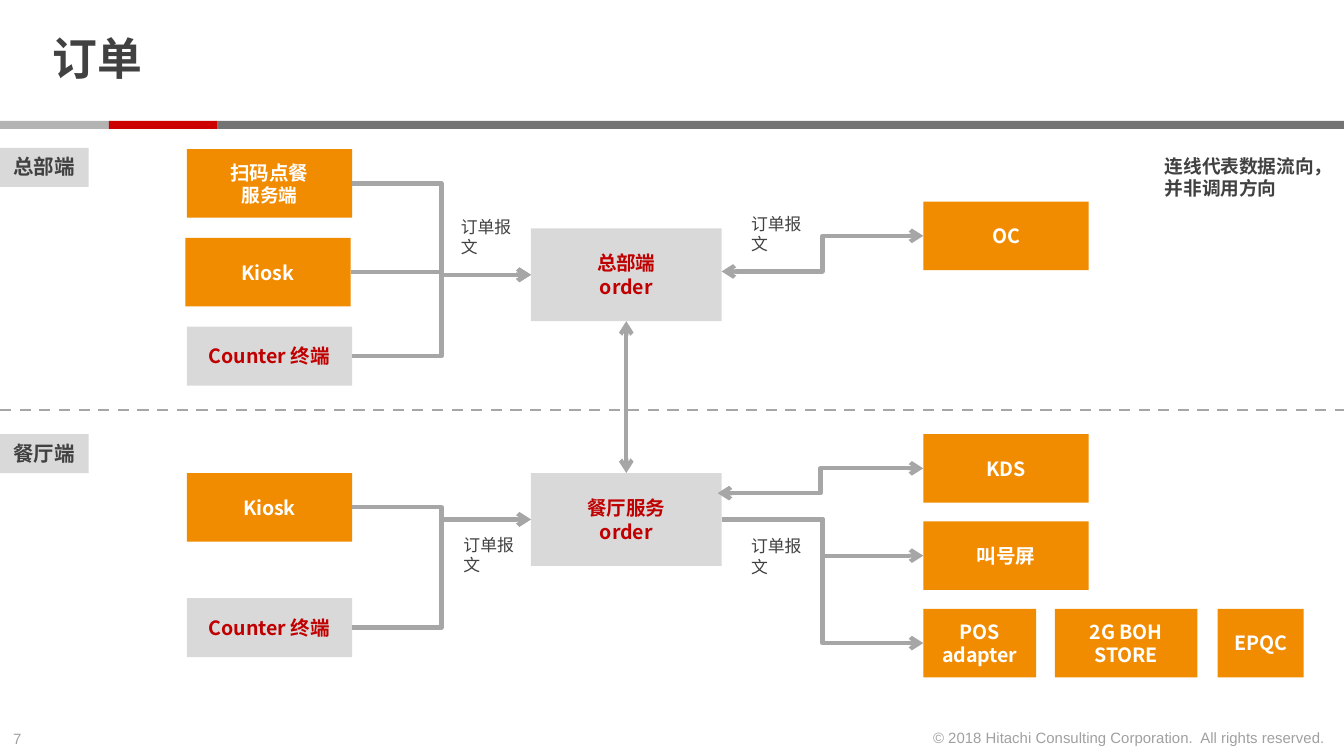
from lxml import etree
from pptx import Presentation
from pptx.dml.color import RGBColor
from pptx.enum import dml, shapes, text
from pptx.oxml.ns import qn
from pptx.util import Inches, Pt

ORANGE, PALE, RED, INK, LINE = "F18B00", "D9D9D9", "C00000", "414141", "A6A6A6"
CJK = "Noto Sans CJK SC"
TOP, LEFT, BOTTOM, RIGHT = range(4)
BOX_W, BOX_H, COUNTER_H = 1.23, 0.51, 0.44
SOURCE_X, ORDER_X, TARGET_X = 1.39, 3.95, 6.87


def color(value):
    return RGBColor.from_string(value)


def write(frame, words, size, ink=INK, bold=False, font="Arial", align=None):
    frame.text = words
    for paragraph in frame.paragraphs:
        paragraph.alignment = align
        for run in paragraph.runs:
            run.font.size, run.font.bold = Pt(size), bold
            run.font.color.rgb = color(ink)
            run.font.name = font
            east_asian = etree.SubElement(run._r.get_or_add_rPr(), qn("a:ea"))
            east_asian.set("typeface", CJK)


def rectangle(slide, x, y, w, h, fill):
    shape = slide.shapes.add_shape(
        shapes.MSO_SHAPE.RECTANGLE, Inches(x), Inches(y), Inches(w), Inches(h))
    shape.shadow.inherit = False
    shape.fill.solid()
    shape.fill.fore_color.rgb = color(fill)
    shape.line.fill.background()
    return shape


def system(slide, x, y, words, w=BOX_W, h=BOX_H, fill=ORANGE, ink="FFFFFF"):
    shape = rectangle(slide, x, y, w, h, fill)
    shape.text_frame.vertical_anchor = text.MSO_ANCHOR.MIDDLE
    write(shape.text_frame, words, 10.5, ink, True, CJK, text.PP_ALIGN.CENTER)
    return shape


def counter(slide, x, y):
    return system(slide, x, y, "Counter 终端", h=COUNTER_H, fill=PALE, ink=RED)


def order(slide, x, y, words):
    return system(slide, x, y, words, 1.42, 0.69, PALE, RED)


def note(slide, x, y, w, h, words, size=9, wrap=True, **style):
    frame = slide.shapes.add_textbox(
        Inches(x), Inches(y), Inches(w), Inches(h)).text_frame
    frame.word_wrap = wrap
    write(frame, words, size, **style)


def message(slide, x, y):
    note(slide, x, y, 0.61, 0.4, "订单报文")


def tag(slide, x, y, words):
    shape = rectangle(slide, x, y, 0.66, 0.29, PALE)
    shape.text_frame.word_wrap = False
    shape.text_frame.vertical_anchor = text.MSO_ANCHOR.TOP
    write(shape.text_frame, words, 11, bold=True, font=CJK, align=text.PP_ALIGN.LEFT)


def connector(slide, kind, x1, y1, x2, y2, width, dash=None, ends=()):
    line = slide.shapes.add_connector(kind, Inches(x1), Inches(y1), Inches(x2), Inches(y2))
    line.line.color.rgb = color(LINE)
    line.line.width = Pt(width)
    if dash:
        line.line.dash_style = dash
    for end in ends:
        etree.SubElement(line.line._get_or_add_ln(), qn(f"a:{end}")).set("type", "arrow")
    etree.SubElement(line._element.spPr, qn("a:effectLst"))
    return line


def flow(slide, source, target, both=False, sites=(RIGHT, LEFT), elbow=True):
    """Join a box, or an (x, y) point, to a target box with an arrow."""
    kind = shapes.MSO_CONNECTOR.ELBOW if elbow else shapes.MSO_CONNECTOR.STRAIGHT
    is_point = isinstance(source, tuple)
    x, y = source if is_point else (0, 0)
    ends = ("headEnd", "tailEnd") if both else ("tailEnd",)
    line = connector(slide, kind, x, y, x, y, 2.25, ends=ends)
    if not is_point:
        line.begin_connect(source, sites[0])
    line.end_connect(target, sites[1])


def header(slide, x, y):
    title = slide.shapes.title
    title.left, title.top = Inches(x + 0.29), Inches(y + 0.06)
    title.width, title.height = Inches(7.71), Inches(0.8)
    frame = title.text_frame
    frame.vertical_anchor = text.MSO_ANCHOR.MIDDLE
    frame.margin_top = frame.margin_bottom = 0
    write(frame, "订单", 24, bold=True, align=text.PP_ALIGN.LEFT)
    frame.paragraphs[0].line_spacing = 0.85
    for offset, width, fill in ((0, 0.81, "B3B3B3"), (0.81, 0.81, "CC0000"),
                                (1.62, 8.38, "737373")):
        rectangle(slide, x + offset, y + 0.9, width, 0.06, fill)


def headquarters(slide, x, y):
    tag(slide, x, y, "总部端")
    hub = order(slide, x + ORDER_X, y + 0.6, "总部端\norder")
    scan = system(slide, x + SOURCE_X, y + 0.01, "扫码点餐\n服务端")
    scan.text_frame.paragraphs[1].runs[0].font.size = Pt(10)
    kiosk = system(slide, x + SOURCE_X - 0.01, y + 0.67, "Kiosk")
    for source in (scan, kiosk, counter(slide, x + SOURCE_X, y + 1.33)):
        flow(slide, source, hub)
    oc = system(slide, x + TARGET_X, y + 0.4, "OC")
    flow(slide, (x + 5.37, y + 0.92), oc, both=True)
    message(slide, x + 3.33, y + 0.46)
    message(slide, x + 5.49, y + 0.44)
    note(slide, x + 8.57, y, 1.56, 0.44, "连线代表数据流向，并非调用方向", 10, bold=True)
    return hub


def restaurant(slide, x, y):
    tag(slide, x, y, "餐厅端")
    hub = order(slide, x + ORDER_X, y + 0.29, "餐厅服务\norder")
    kiosk = system(slide, x + SOURCE_X, y + 0.29, "Kiosk")
    for source in (kiosk, counter(slide, x + SOURCE_X, y + 1.22)):
        flow(slide, source, hub)
    kds, screen, pos = [
        system(slide, x + TARGET_X, y + row * 0.65, words, width)
        for row, (words, width) in enumerate(
            (("KDS", BOX_W), ("叫号屏", BOX_W), ("POS\nadapter", 0.84)))]
    system(slide, x + 7.85, y + 1.3, "2G BOH\nSTORE", 1.06)
    system(slide, x + 9.06, y + 1.3, "EPQC", 0.64)
    flow(slide, (x + 5.34, y + 0.44), kds, both=True)
    for target in (screen, pos):
        flow(slide, hub, target)
    message(slide, x + 3.35, y + 0.7)
    message(slide, x + 5.49, y + 0.71)
    return hub


def footer(slide, x, y):
    note(slide, x, y, 0.34, 0.24, "7", 8, False, ink="A0A0A0")
    note(slide, x + 6.8, y - 0.01, 3.16, 0.24,
         "© 2018 Hitachi Consulting Corporation.\u00a0 All rights reserved.",
         8, False, ink="A0A0A0", align=text.PP_ALIGN.RIGHT)


def main():
    deck = Presentation()
    deck.slide_width = Inches(10)
    deck.slide_height = deck.slide_width * 9 // 16
    slide = deck.slides.add_slide(deck.slide_layouts[5])
    header(slide, 0, 0)
    connector(slide, shapes.MSO_CONNECTOR.STRAIGHT, 0, 3.05, 10, 3.05, 1.5,
              dml.MSO_LINE.DASH)
    central = headquarters(slide, 0, 1.1)
    local = restaurant(slide, 0, 3.23)
    flow(slide, local, central, both=True, sites=(TOP, BOTTOM), elbow=False)
    footer(slide, 0, 5.38)
    deck.save("out.pptx")


if __name__ == "__main__":
    main()
